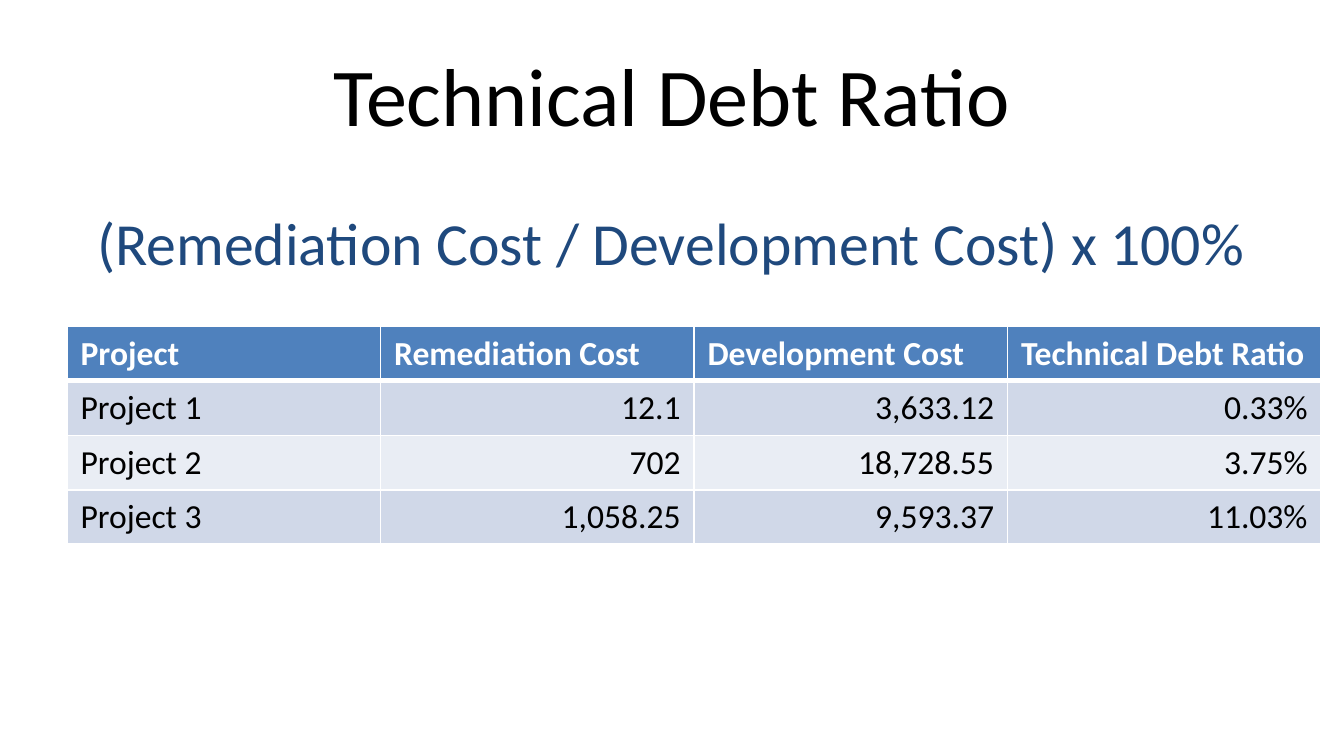
from dataclasses import dataclass

from lxml.etree import SubElement
from pptx import Presentation
from pptx.dml.color import RGBColor
from pptx.enum.text import MSO_ANCHOR, PP_ALIGN
from pptx.oxml.ns import qn
from pptx.util import Inches, Pt


@dataclass(frozen=True)
class Theme:
    font: str = "Calibri"
    text: str = "000000"
    formula: str = "1F497D"
    header: str = "4F81BD"
    bands: tuple = ("D0D8E8", "E9EDF4")
    light: str = "FFFFFF"
    title_size: int = 44
    formula_size: int = 32
    table_size: int = 18


class SlideBuilder:
    def __init__(self, s, theme):
        self.s = s
        self.theme = theme

    def run(self, p, text, size, color, bold=False):
        r = p.add_run()
        r.text = text
        r.font.name = self.theme.font
        r.font.size = Pt(size)
        r.font.bold = bold
        r.font.color.rgb = RGBColor.from_string(color)

    def text(self, box, text, size, color, anchor=MSO_ANCHOR.TOP, wrap=True):
        sp = self.s.shapes.add_textbox(*(Inches(v) for v in box))
        tf = sp.text_frame
        tf.word_wrap = wrap
        tf.vertical_anchor = anchor
        p = tf.paragraphs[0]
        p.alignment = PP_ALIGN.CENTER
        self.run(p, text, size, color)

    def borders(self, cell, bottom):
        # Borders must precede the fill in the cell properties
        tc_pr = cell._tc.get_or_add_tcPr()
        for side, width in (("L", 1), ("R", 1), ("T", 1), ("B", bottom)):
            ln = SubElement(tc_pr, qn(f"a:ln{side}"), w=str(Pt(width)))
            fill = SubElement(ln, qn("a:solidFill"))
            SubElement(fill, qn("a:srgbClr"), val=self.theme.light)

    def table(self, box, rows):
        t = self.theme
        table = self.s.shapes.add_table(
            len(rows), len(rows[0]), *(Inches(v) for v in box)).table
        for i, row in enumerate(rows):
            header = i == 0
            fill = t.header if header else t.bands[(i - 1) % 2]
            for j, value in enumerate(row):
                cell = table.cell(i, j)
                self.borders(cell, bottom=3 if header else 1)
                cell.fill.solid()
                cell.fill.fore_color.rgb = RGBColor.from_string(fill)
                p = cell.text_frame.paragraphs[0]
                numeric = j > 0 and not header
                p.alignment = PP_ALIGN.RIGHT if numeric else PP_ALIGN.LEFT
                self.run(p, value, t.table_size,
                         t.light if header else t.text, header)


def main():
    # Widescreen 16:9 page
    prs = Presentation()
    prs.slide_width = Inches(10)
    prs.slide_height = prs.slide_width * 9 // 16
    theme = Theme()
    slide = SlideBuilder(prs.slides.add_slide(prs.slide_layouts[6]), theme)

    # Title
    slide.text((0.5, 0.23, 9, 0.94), "Technical Debt Ratio",
               theme.title_size, theme.text, MSO_ANCHOR.MIDDLE)

    # Project costs and ratios
    slide.table((0.5, 2.43, 9.33, 1.62), [
        ("Project", "Remediation Cost", "Development Cost",
         "Technical Debt Ratio"),
        ("Project 1", "12.1", "3,633.12", "0.33%"),
        ("Project 2", "702", "18,728.55", "3.75%"),
        ("Project 3", "1,058.25", "9,593.37", "11.03%"),
    ])

    # Formula
    slide.text((0.58, 1.48, 8.83, 0.64),
               "(Remediation Cost / Development Cost) x 100%",
               theme.formula_size, theme.formula, wrap=False)

    prs.save("out.pptx")


if __name__ == "__main__":
    main()
